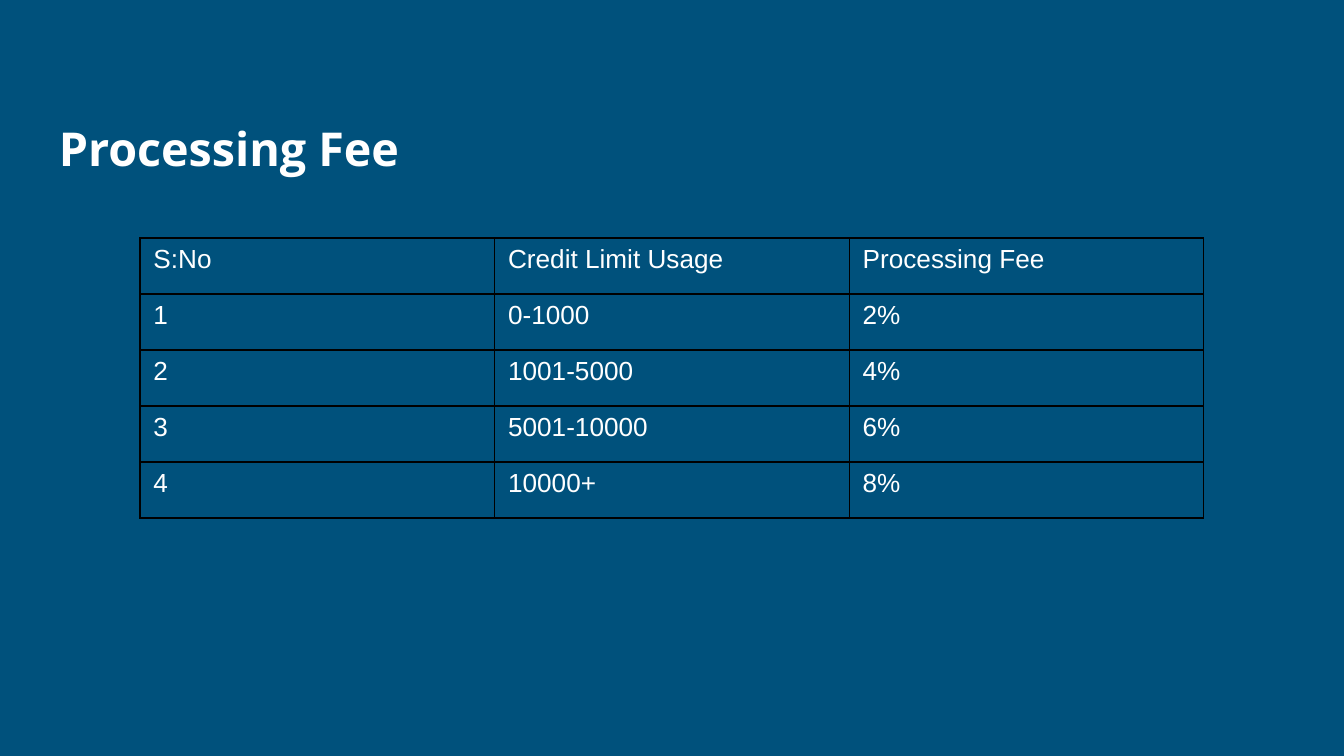
"""Build the processing fee slide with its title and fee table."""
from dataclasses import astuple, dataclass

from lxml import etree
from pptx import Presentation
from pptx.dml.color import RGBColor
from pptx.enum.text import MSO_ANCHOR, MSO_AUTO_SIZE, PP_ALIGN
from pptx.oxml.ns import qn
from pptx.util import Emu, Pt

LEFT = PP_ALIGN.LEFT
MIDDLE = MSO_ANCHOR.MIDDLE
NO_AUTOFIT = MSO_AUTO_SIZE.NONE
TITLE_ONLY = 5
EMU_PER_PX = 9525
COLORS = {"background": "00517C", "text": "FFFFFF", "border": "000000"}
BORDER_PT = 0.75


@dataclass
class Box:
    left: int
    top: int
    width: int
    height: int


@dataclass
class FeeRow:
    number: str
    usage: str
    fee: str


TITLE_BOX = Box(32, 32, 448, 127)
TABLE_BOX = Box(100, 170, 760, 200)
FEE_ROWS = [
    FeeRow("S:No", "Credit Limit Usage", "Processing Fee"),
    FeeRow("1", "0-1000", "2%"),
    FeeRow("2", "1001-5000", "4%"),
    FeeRow("3", "5001-10000", "6%"),
    FeeRow("4", "10000+", "8%"),
]


def px(n: int) -> Emu:
    return Emu(n * EMU_PER_PX)


def place(box: Box) -> list[Emu]:
    return [px(n) for n in astuple(box)]


def format_text(p, font: str, size: int, bold: bool) -> None:
    p.alignment = LEFT
    for r in p.runs:
        r.font.name = font
        r.font.size = Pt(size)
        r.font.bold = bold
        r.font.color.rgb = RGBColor.from_string(COLORS["text"])


def add_borders(cell) -> None:
    tc_pr = cell._tc.get_or_add_tcPr()
    for i, side in enumerate(("lnL", "lnR", "lnT", "lnB")):
        ln = etree.Element(qn(f"a:{side}"), w=str(Pt(BORDER_PT)))
        fill = etree.SubElement(ln, qn("a:solidFill"))
        etree.SubElement(fill, qn("a:srgbClr"), val=COLORS["border"])
        tc_pr.insert(i, ln)


def set_title(slide, text: str, box: Box) -> None:
    sp = slide.shapes.title
    sp.left, sp.top, sp.width, sp.height = place(box)
    tf = sp.text_frame
    tf.text = text
    tf.word_wrap = True
    tf.auto_size = NO_AUTOFIT
    tf.vertical_anchor = MIDDLE
    tf.margin_left = tf.margin_right = px(10)
    tf.margin_top = tf.margin_bottom = px(10)
    p = tf.paragraphs[0]
    p.line_spacing = 1.5
    p.space_before = p.space_after = Pt(11)
    format_text(p, "Open Sans", 25, True)


def add_fee_table(slide, rows: list[FeeRow], box: Box) -> None:
    n_cols = len(astuple(rows[0]))
    table = slide.shapes.add_table(len(rows), n_cols, *place(box)).table
    table.first_row = table.horz_banding = False
    for i, row in enumerate(rows):
        table.rows[i].height = px(box.height // len(rows))
        for j, text in enumerate(astuple(row)):
            cell = table.cell(i, j)
            cell.text = text
            cell.fill.background()
            add_borders(cell)
            format_text(cell.text_frame.paragraphs[0], "Arial", 14, False)


def main() -> None:
    prs = Presentation()
    prs.slide_width, prs.slide_height = px(960), px(540)
    slide = prs.slides.add_slide(prs.slide_layouts[TITLE_ONLY])
    fill = slide.background.fill
    fill.solid()
    fill.fore_color.rgb = RGBColor.from_string(COLORS["background"])
    set_title(slide, "Processing Fee", TITLE_BOX)
    add_fee_table(slide, FEE_ROWS, TABLE_BOX)
    prs.save("out.pptx")


if __name__ == "__main__":
    main()
